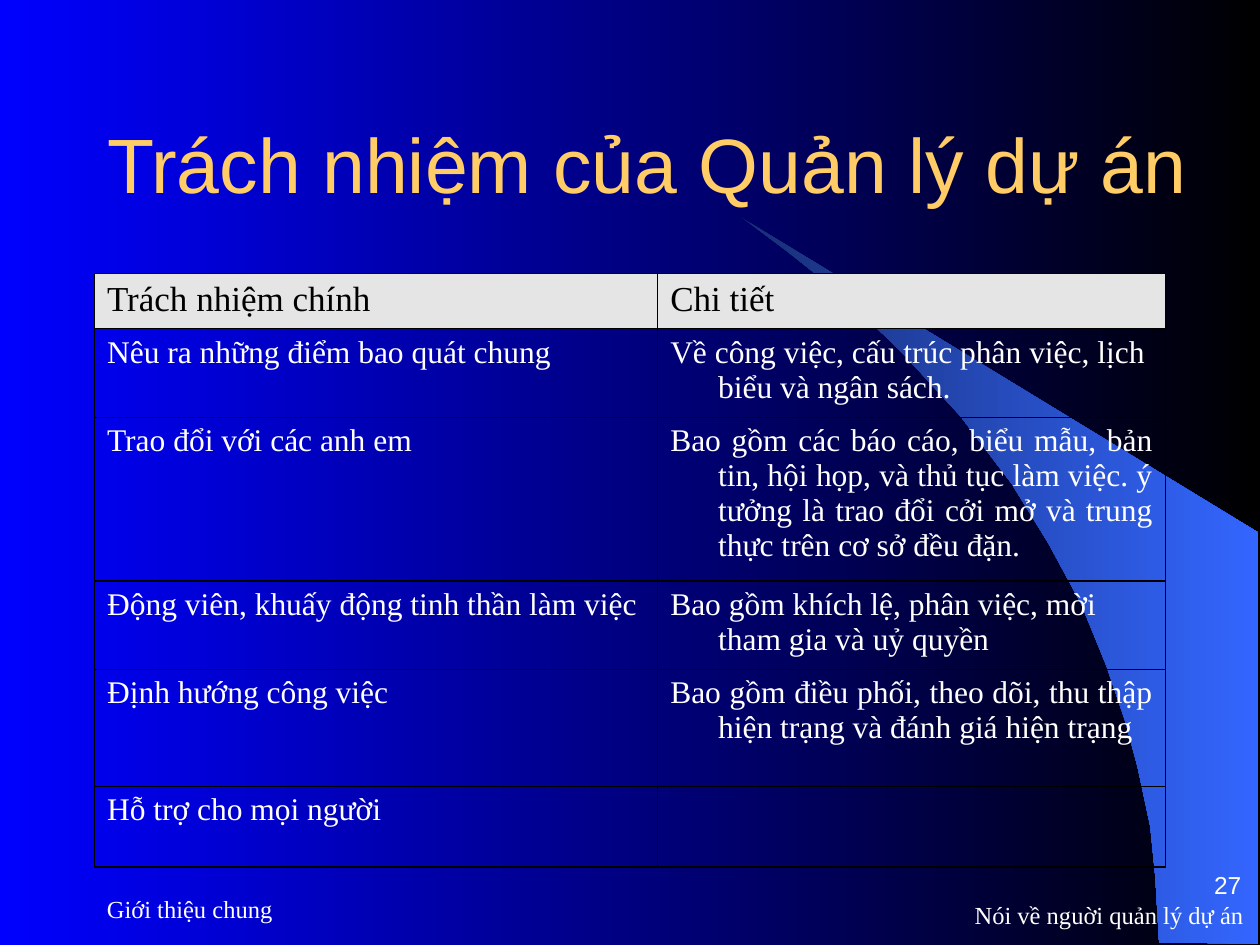
from lxml import etree
from pptx import Presentation
from pptx.dml.color import RGBColor
from pptx.enum.text import MSO_ANCHOR, MSO_AUTO_SIZE, PP_ALIGN
from pptx.oxml.ns import qn
from pptx.util import Inches, Pt

LEFT, RIGHT, JUST = PP_ALIGN.LEFT, PP_ALIGN.RIGHT, PP_ALIGN.JUSTIFY
MID, LOW = MSO_ANCHOR.MIDDLE, MSO_ANCHOR.BOTTOM
FIXED = MSO_AUTO_SIZE.NONE
SANS, SERIF = "Arial", "Times New Roman"
COLS, ROWS = 100, 75
UNIT = Inches(0.1)
INK = {"white": "FFFFFF", "black": "000000", "gold": "FFCC66", "blue": "0000FF",
       "navy": "182F76", "sky": "3366FF", "gray": "E5E5E5"}

SWOOSH = [(92, 74.8), (99.9, 74.9), (99.9, 42.3), (58.9, 17.3), (62.4, 19.9),
          (65.3, 22.2), (68.5, 25), (71.6, 28), (76.2, 33), (80.3, 38.4),
          (83.2, 43.1), (85.8, 47.9), (87.8, 52.8), (89.3, 57.2), (90.3, 60.9),
          (91.3, 65.6), (91.7, 69.6)]
WIDTHS = [44.7, 40.3]
HEIGHTS = [4.4, 7, 13, 7, 9.3, 6.4]
DUTIES = [
    [("Trách nhiệm chính", LEFT), ("Chi tiết", LEFT)],
    [("Nêu ra những điểm bao quát chung", LEFT),
     ("Về công việc, cấu trúc phân việc, lịch biểu và ngân sách.", LEFT)],
    [("Trao đổi với các anh em", LEFT),
     ("Bao gồm các báo cáo, biểu mẫu, bản tin, hội họp, và thủ tục làm việc. "
      "ý tưởng là trao đổi cởi mở và trung thực trên cơ sở đều đặn.", JUST)],
    [("Động viên, khuấy động tinh thần làm việc", JUST),
     ("Bao gồm khích lệ, phân việc, mời tham gia và uỷ quyền", LEFT)],
    [("Định hướng công việc", LEFT),
     ("Bao gồm điều phối, theo dõi, thu thập hiện trạng và đánh giá hiện trạng", JUST)],
    [("Hỗ trợ cho mọi người", JUST), ("", LEFT)],
]


def grid(*vals):
    """Turn grid units into lengths."""
    return [round(v * UNIT) for v in vals]


class Deck:
    """Holds the style and the current slide."""

    def __init__(self):
        """Open a deck with one title-only slide."""
        self.prs = Presentation()
        self.prs.slide_width, self.prs.slide_height = grid(COLS, ROWS)
        self.slide = self.prs.slides.add_slide(self.prs.slide_layouts[5])
        self.blend(self.slide.background.fill, "blue", "black")

    def blend(self, fill, start, end):
        """Fill with a gradient from left to right."""
        fill.gradient()
        fill.gradient_angle = 0
        for stop, name in zip(fill.gradient_stops, (start, end)):
            stop.color.rgb = RGBColor.from_string(INK[name])

    def style(self, para, size, face, color, align):
        """Set the font and alignment of a paragraph."""
        para.alignment = align
        para.font.size, para.font.name = Pt(size), face
        para.font.color.rgb = RGBColor.from_string(INK[color])

    def title(self, text, box):
        """Move and format the title."""
        shape = self.slide.shapes.title
        shape.left, shape.top, shape.width, shape.height = grid(*box)
        frame = shape.text_frame
        frame.text, frame.vertical_anchor = text, MID
        frame.auto_size = FIXED
        self.style(frame.paragraphs[0], 44, SANS, "gold", LEFT)

    def sweep(self, points):
        """Draw a closed outline with a gradient."""
        dots = [grid(*point) for point in points]
        pen = self.slide.shapes.build_freeform(*dots[0])
        pen.add_line_segments(dots[1:], close=True)
        shape = pen.convert_to_shape()
        shape.shadow.inherit = False
        shape.line.fill.background()
        self.blend(shape.fill, "navy", "sky")

    def note(self, text, box, face=SERIF, align=LEFT, anchor=MID, pad=0.5):
        """Add a small line of text."""
        frame = self.slide.shapes.add_textbox(*grid(*box)).text_frame
        frame.word_wrap = True
        frame.vertical_anchor = anchor
        frame.margin_top, frame.margin_bottom = grid(pad, pad)
        frame.text = text
        self.style(frame.paragraphs[0], 14, face, "white", align)

    def edge(self, cell):
        """Rule all four sides of a cell."""
        props = cell._tc.get_or_add_tcPr()
        for at, side in enumerate(("lnL", "lnR", "lnT", "lnB")):
            line = etree.Element(qn(f"a:{side}"), w=str(Pt(0.75)), cmpd="sng")
            fill = etree.SubElement(line, qn("a:solidFill"))
            etree.SubElement(fill, qn("a:srgbClr"), val=INK["black"])
            etree.SubElement(line, qn("a:prstDash"), val="solid")
            props.insert(at, line)

    def cell(self, cell, text, align, head):
        """Fill, rule and write one cell."""
        if head:
            cell.fill.solid()
            cell.fill.fore_color.rgb = RGBColor.from_string(INK["gray"])
        else:
            cell.fill.background()
        self.edge(cell)
        cell.text = text
        para = cell.text_frame.paragraphs[0]
        self.style(para, 20 if head else 18, SERIF, "black" if head else "white", align)
        hang = Inches(0.38)
        props = para._p.get_or_add_pPr()
        props.set("marL", str(hang))
        props.set("indent", str(-hang))

    def table(self, rows, left, top):
        """Add a ruled table with a header row."""
        box = grid(left, top, sum(WIDTHS), sum(HEIGHTS))
        table = self.slide.shapes.add_table(len(rows), len(WIDTHS), *box).table
        table.first_row = table.horz_banding = False
        for col, width in zip(table.columns, grid(*WIDTHS)):
            col.width = width
        for row, height in zip(table.rows, grid(*HEIGHTS)):
            row.height = height
        for r, row in enumerate(rows):
            for c, (text, align) in enumerate(row):
                self.cell(table.cell(r, c), text, align, r == 0)


def main():
    """Build the slide and save it."""
    deck = Deck()
    deck.sweep(SWOOSH)
    deck.note("Nói về nguời quản lý dự án", (74.7, 70.5, 25, 4.2), align=RIGHT)
    deck.note("Giới thiệu chung", (7.5, 69.6, 46.7, 5))
    deck.note("27", (78.7, 67.2, 20.8, 4.2), SANS, RIGHT, LOW, 0)
    deck.title("Trách nhiệm của Quản lý dự án", (7.5, 6.7, 88.4, 12.5))
    deck.table(DUTIES, 7.5, 21.7)
    deck.prs.save("out.pptx")


if __name__ == "__main__":
    main()
